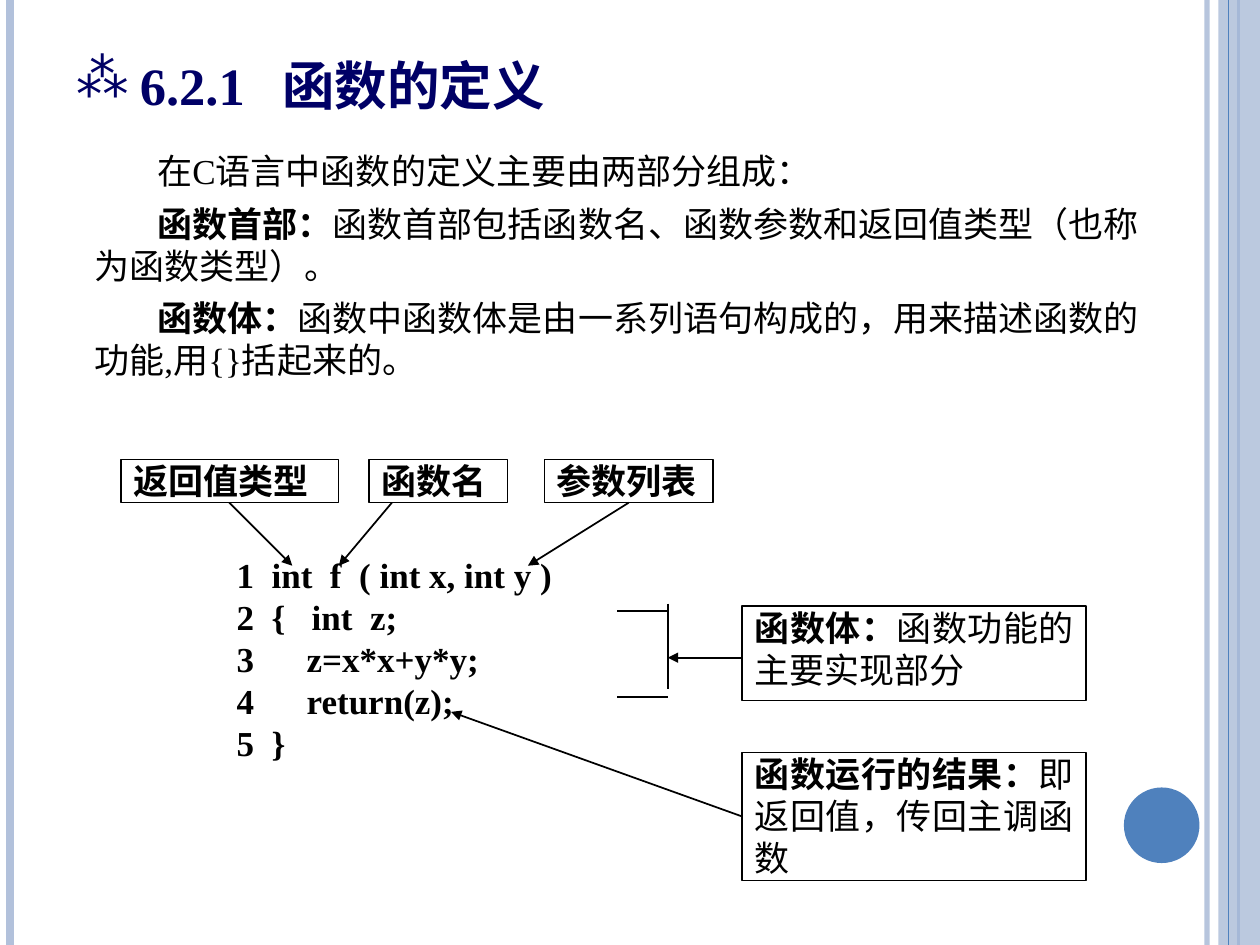
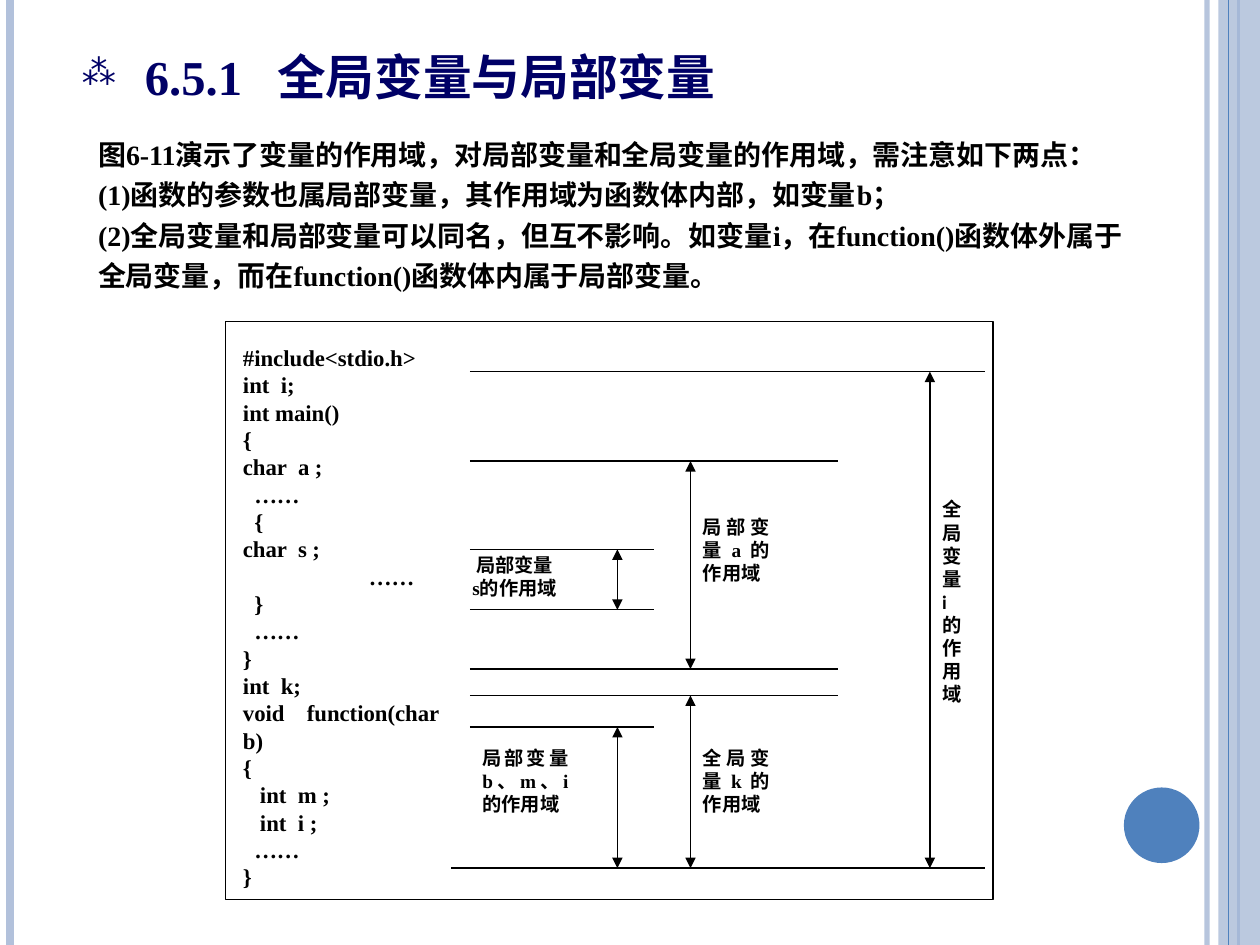
from dataclasses import dataclass

from lxml import etree
from pptx import Presentation
from pptx.dml.color import RGBColor
from pptx.enum.shapes import MSO_CONNECTOR, MSO_SHAPE
from pptx.enum.text import MSO_ANCHOR, MSO_AUTO_SIZE, PP_ALIGN
from pptx.oxml.ns import qn
from pptx.util import Inches, Pt

STRAIGHT = MSO_CONNECTOR.STRAIGHT
RECTANGLE, OVAL = MSO_SHAPE.RECTANGLE, MSO_SHAPE.OVAL
LEFT, CENTER, JUSTIFY = PP_ALIGN.LEFT, PP_ALIGN.CENTER, PP_ALIGN.JUSTIFY
TOP, BOTTOM = MSO_ANCHOR.TOP, MSO_ANCHOR.BOTTOM
NO_AUTOFIT = MSO_AUTO_SIZE.NONE
TITLE_ONLY = 5


@dataclass(frozen=True)
class Theme:
    font: str = "Times New Roman"
    label_font: str = "Calibri"
    title: str = "000066"
    ink: str = "000000"
    paper: str = "FFFFFF"
    accent: str = "4F81BD"
    band: str = "B2C1DB"
    body_size: float = 20
    remark_size: float = 16
    code_size: float = 13
    label_size: float = 11
    thin: float = 0.75
    medium: float = 1


THEME = Theme()


@dataclass(frozen=True)
class Box:
    left: float
    top: float
    width: float
    height: float

    def inside(self, left, top, width, height):
        return Box(self.left + left, self.top + top, width, height)

    def point(self, x, y):
        return self.left + x, self.top + y

    def lengths(self):
        return [Inches(v) for v in (self.left, self.top, self.width, self.height)]


# Drawing helpers
def add_child(parent, tag, **attributes):
    return etree.SubElement(parent, qn(tag), attributes)


def set_alpha(element, percent):
    for color in element.iter(qn("a:srgbClr")):
        add_child(color, "a:alpha", val=str(percent * 1000))


def add_tab_stop(paragraph, position):
    tabs = add_child(paragraph._p.get_or_add_pPr(), "a:tabLst")
    add_child(tabs, "a:tab", pos=str(Inches(position)), algn="l")


def add_line(slide, start, end, width, color=THEME.ink, head=False, tail=False):
    ends = [Inches(value) for value in (*start, *end)]
    connector = slide.shapes.add_connector(STRAIGHT, *ends)
    connector.line.color.rgb = RGBColor.from_string(color)
    connector.line.width = Pt(width)
    outline = connector.element.spPr.get_or_add_ln()
    for tag, wanted in (("a:headEnd", head), ("a:tailEnd", tail)):
        if wanted:
            add_child(outline, tag, type="triangle")
    add_child(connector.element.spPr, "a:effectLst")
    return connector


def add_panel(slide, box, fill=None, border=None, kind=RECTANGLE):
    shape = slide.shapes.add_shape(kind, *box.lengths())
    shape.shadow.inherit = False
    if fill:
        shape.fill.solid()
        shape.fill.fore_color.rgb = RGBColor.from_string(fill)
    else:
        shape.fill.background()
    if border:
        shape.line.color.rgb = RGBColor.from_string(border)
        shape.line.width = Pt(THEME.thin)
    else:
        shape.line.fill.background()
    return shape


def format_run(run, size, bold=True, color=THEME.ink, font=THEME.font):
    run.font.name = font
    run.font.size = Pt(size)
    run.font.bold = bold
    run.font.color.rgb = RGBColor.from_string(color)


def write(shape, paragraphs, size, align=LEFT, margin=0.05, spacing=None,
          before=0, indent=0):
    """Each paragraph is a pair: bold words, then regular words."""
    frame = shape.text_frame
    frame.word_wrap = True
    frame.auto_size = NO_AUTOFIT
    frame.vertical_anchor = TOP
    frame.margin_left = frame.margin_right = Inches(0.1)
    frame.margin_top = frame.margin_bottom = Inches(margin)
    for index, words in enumerate(paragraphs):
        paragraph = frame.add_paragraph() if index else frame.paragraphs[0]
        paragraph.alignment = align
        if spacing:
            paragraph.line_spacing = spacing
        if index and before:
            paragraph.space_before = Pt(before)
        if indent:
            paragraph._p.get_or_add_pPr().set("indent", str(Inches(indent)))
        for text, bold in zip(words, (True, False)):
            if "\t" in text:
                add_tab_stop(paragraph, 1)
            if text:
                run = paragraph.add_run()
                run.text = text
                format_run(run, size, bold)
    return frame


def add_panel_text(slide, box, paragraphs, size, border=None, **style):
    style = {"align": JUSTIFY, **style}
    return write(add_panel(slide, box, THEME.paper, border), paragraphs, size, **style)


def bold_lines(text):
    return [(line,) for line in text.split("\n")]


# Shared side bands, kept on the layout
def add_bands(slide, layout, page):
    right = page.width

    def vertical(x, width, color):
        return add_line(slide, (x, 0), (x, page.height), width, color)

    edge = vertical(right - 0.42, 3, THEME.band)
    set_alpha(edge.element, 93)
    parts = [edge, vertical(0.08, 4.5, THEME.band),
             vertical(right - 0.17, 1.5, THEME.accent)]
    strip = add_panel(slide, page.inside(right - 0.33, 0, 0.33, page.height), THEME.band)
    set_alpha(strip.element.spPr, 87)
    disc = add_panel(slide, page.inside(right - 1.08, 6.25, 0.6, 0.6), THEME.accent,
                     kind=OVAL)
    parts += [strip, vertical(right - 0.25, 0.75, THEME.accent), disc]
    for number, part in enumerate(parts, 101):
        part.element.xpath("./*[1]/p:cNvPr")[0].set("id", str(number))
        layout.shapes.element.append(part.element)


def set_title(slide, box, text, size, tab, bullet_percent=100, spacing=1.0):
    title = slide.shapes.title
    title.left, title.top, title.width, title.height = box.lengths()
    frame = title.text_frame
    frame.text = text
    frame.auto_size = NO_AUTOFIT
    frame.vertical_anchor = BOTTOM
    paragraph = frame.paragraphs[0]
    paragraph.alignment = LEFT
    paragraph.line_spacing = spacing
    properties = paragraph._p.get_or_add_pPr()
    properties.set("marL", str(Inches(0.5)))
    properties.set("indent", str(Inches(-0.5)))
    color = add_child(properties, "a:buClr")
    add_child(color, "a:srgbClr", val=THEME.title)
    add_child(properties, "a:buSzPct", val=str(bullet_percent * 1000))
    add_child(properties, "a:buChar", char="⁂")
    add_tab_stop(paragraph, tab)
    for run in paragraph.runs:
        format_run(run, size, color=THEME.title)


# Anatomy of a function: labelled code
def add_function_anatomy(slide, box):
    code = ("1  int  f  ( int x, int y )\n2  {   int  z;\n3      z=x*x+y*y;\n"
            "4      return(z);\n5  }")
    add_panel_text(slide, box.inside(0.82, 0.69, 4.44, 2.16), bold_lines(code),
                   THEME.body_size)

    # Header labels, each with an arrow to its place in the code
    label_height, code_top = 0.34, 0.84
    labels = [("返回值类型", 0, 1.73, 0.86, 1.36),
              ("函数名", 1.97, 1.1, 2.15, 1.73),
              ("参数列表", 3.36, 1.34, 4.03, 3.23)]
    for text, left, width, start, end in labels:
        add_panel_text(slide, box.inside(left, 0, width, label_height), [(text,)],
                       THEME.body_size, THEME.ink, margin=0)
        add_line(slide, box.point(start, label_height), box.point(end, code_top),
                 THEME.medium, tail=True)

    # Remarks on the right, each with an arrow back to the code
    remark_left = 4.93
    remarks = [(("函数体：", "函数功能的主要实现部分"), 1.16, 0.75, 1.57, (4.34, 1.57)),
               (("函数运行的结果：", "即返回值，传回主调函数"), 2.32, 1.02, 2.83, (2.62, 2))]
    for words, top, height, start, target in remarks:
        add_panel_text(slide, box.inside(remark_left, top, 2.73, height), [words],
                       THEME.body_size, THEME.ink, margin=0)
        add_line(slide, box.point(remark_left, start), box.point(*target),
                 THEME.medium, tail=True)

    # Bracket round the function body
    for start, end in [((3.94, 1.2), (4.34, 1.2)), ((4.34, 1.14), (4.34, 1.82)),
                       ((3.94, 1.88), (4.34, 1.88))]:
        add_line(slide, box.point(*start), box.point(*end), THEME.medium)


# Scope diagram: code with the reach of each variable
def add_scope_diagram(slide, box):
    add_panel(slide, box, border=THEME.ink)
    code = ("#include<stdio.h>\nint  i;\nint main()\n{\nchar  a ;\n  ……\n  {\n"
            "char  s ;\n  \t……\n  }\n  ……\n}\nint  k;\nvoid function(char b)\n{\n"
            "   int  m ;\n   int  i ;\n  ……\n}")
    add_panel_text(slide, box.inside(0.04, 0.13, 1.75, 4.42), bold_lines(code),
                   THEME.code_size)

    # Labels
    labels = [("全局变量k的作用域", 3.69, 3.32, 0.73, 0.8, JUSTIFY),
              ("局部变量b、m、i的作用域", 1.94, 3.32, 0.88, 0.8, JUSTIFY),
              ("局部变量a的作用域", 3.69, 1.49, 0.73, 0.8, JUSTIFY),
              ("局部变量\ns的作用域", 1.63, 1.79, 1.33, 0.57, CENTER)]
    for text, left, top, width, height, align in labels:
        add_panel_text(slide, box.inside(left, top, width, height), bold_lines(text),
                       THEME.label_size, align=align)
    tall = add_panel_text(slide, box.inside(5.59, 1.17, 0.44, 2.5),
                          bold_lines("全局变量\ni\n的作用域"), THEME.label_size)
    tall.margin_top = Inches(0.23)
    tall.paragraphs[1].runs[0].font.name = THEME.label_font

    # Scopes: arrow position, right end of the limits, first and last level
    limit_left, floor = 1.94, 4.34
    scopes = [(5.59, 6.03, 0.4, floor), (3.69, 4.86, 1.11, 2.76),
              (3.11, 3.4, 1.81, 2.29), (3.69, 4.86, 2.97, floor),
              (3.11, 3.4, 3.22, floor)]
    for x, limit_right, first, last in scopes:
        for level in (first, last):
            if level != floor:
                add_line(slide, box.point(limit_left, level),
                         box.point(limit_right, level), THEME.thin)
        add_line(slide, box.point(x, first), box.point(x, last), THEME.thin,
                 head=True, tail=True)
    add_line(slide, box.point(1.79, floor), box.point(6.03, floor), THEME.thin)


def add_body(slide, box, paragraphs, size, **style):
    write(slide.shapes.add_textbox(*box.lengths()), paragraphs, size, **style)


def build_definition_slide(slide):
    set_title(slide, Box(0.51, 0.36, 4.57, 0.61), "6.2.1\t函数的定义", 30, 1.63)
    add_body(slide, Box(0.65, 1.14, 8.58, 1.94), [
        ("", "在C语言中函数的定义主要由两部分组成："),
        ("函数首部：", "函数首部包括函数名、函数参数和返回值类型（也称为函数类型）。"),
        ("函数体：", "函数中函数体是由一系列语句构成的，用来描述函数的功能,用{}括起来的。"),
    ], THEME.body_size, before=6, indent=0.5)
    add_function_anatomy(slide, Box(0.96, 3.65, 7.66, 3.34))


def build_scope_slide(slide):
    set_title(slide, Box(0.55, 0.28, 5.56, 0.61), "6.5.1\t全局变量与局部变量", 27.8,
              1.55, bullet_percent=70, spacing=0.9)
    add_body(slide, Box(0.68, 0.99, 8.38, 1.38), [
        ("图6-11演示了变量的作用域，对局部变量和全局变量的作用域，需注意如下两点：",),
        ("(1)函数的参数也属局部变量，其作用域为函数体内部，如变量b；",),
        ("(2)全局变量和局部变量可以同名，但互不影响。如变量i，在function()函数体外属于"
         "全局变量，而在function()函数体内属于局部变量。",),
    ], THEME.remark_size, spacing=1.2)
    add_scope_diagram(slide, Box(1.79, 2.55, 6.09, 4.59))


def main():
    page = Box(0, 0, 10, 7.5)
    presentation = Presentation()
    presentation.slide_width = Inches(page.width)
    presentation.slide_height = Inches(page.height)
    layout = presentation.slide_layouts[TITLE_ONLY]
    definition, scope = [presentation.slides.add_slide(layout) for _ in range(2)]
    add_bands(definition, layout, page)
    build_definition_slide(definition)
    build_scope_slide(scope)
    presentation.save("out.pptx")


if __name__ == "__main__":
    main()
